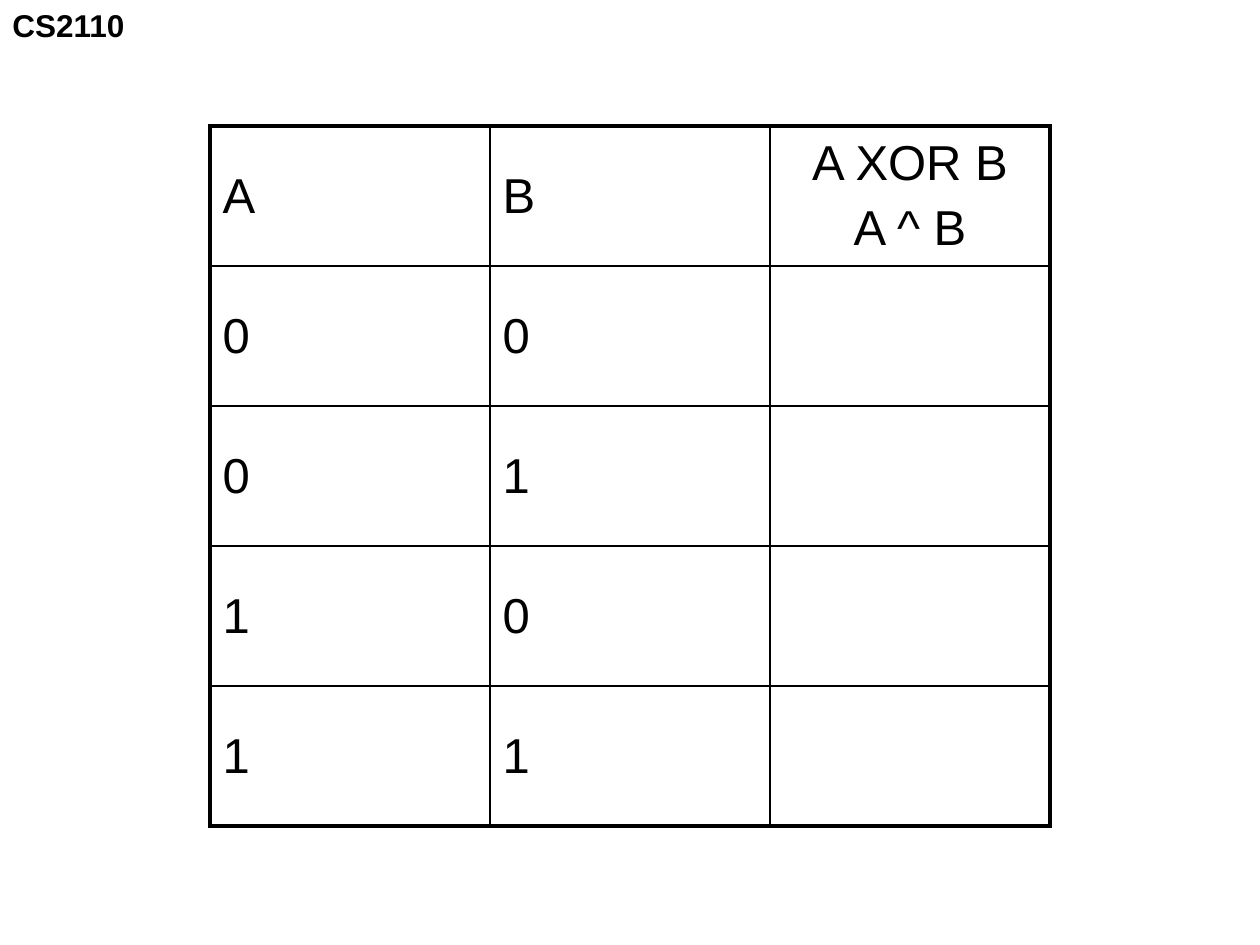
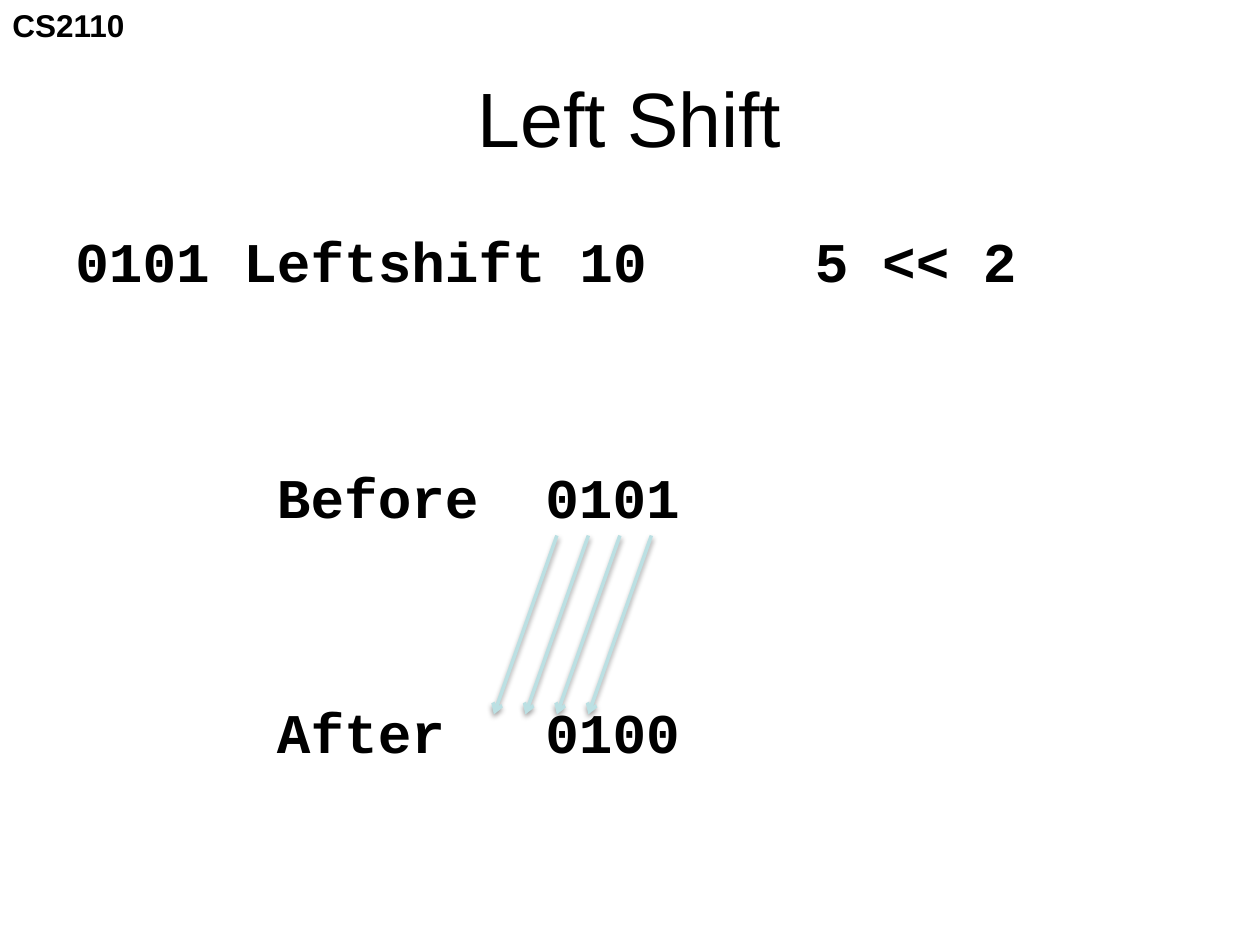
import pptx
import pptx.util
import pptx.dml.color
import pptx.enum.shapes
import pptx.enum.text
import pptx.oxml
import pptx.oxml.ns

Inches = pptx.util.Inches
Pt = pptx.util.Pt
ALIGN = pptx.enum.text.PP_ALIGN
ANCHOR = pptx.enum.text.MSO_ANCHOR
FIT = pptx.enum.text.MSO_AUTO_SIZE
NS = pptx.oxml.ns.nsdecls("a")

INK, PALE = "000000", "BBE0E3"
SANS, MONO = "Arial", "Courier New"
THIN, THICK = 1, 2.25


def color(code):
    return pptx.dml.color.RGBColor.from_string(code)


def node(xml):
    """Parse a drawing element, declaring its namespace on the first tag."""
    return pptx.oxml.parse_xml(xml.replace(" ", f" {NS} ", 1))


class Deck:
    def __init__(self):
        self.prs = pptx.Presentation()
        self.prs.slide_width = Inches(10)
        self.prs.slide_height = Inches(7.5)
        self.slide = None

    def page(self, title=None):
        """Start a slide with the course label and an optional title."""
        self.slide = self.prs.slides.add_slide(self.prs.slide_layouts[6])
        back = self.slide.background.fill
        back.solid()
        back.fore_color.rgb = color("FFFFFF")
        self.text(0, 0, 1.1, 0.4, ["CS2110"], 18, bold=True, wrap=False)
        if title:
            self.text(0.5, 0.3, 9, 1.25, [title], 44,
                      align=ALIGN.CENTER, anchor=ANCHOR.MIDDLE)

    def fill(self, frame, lines, size, face=SANS, bold=False,
             align=ALIGN.LEFT, gap=0, tabs=()):
        for i, line in enumerate(lines):
            para = frame.add_paragraph() if i else frame.paragraphs[0]
            para.alignment = align
            para.space_before = Pt(gap if i else 0)
            if tabs:
                stops = "".join(f'<a:tab pos="{Inches(t)}" algn="l"/>' for t in tabs)
                para._p.get_or_add_pPr().append(
                    node(f"<a:tabLst >{stops}</a:tabLst>"))
            run = para.add_run()
            run.text = line
            run.font.name = face
            run.font.size = Pt(size)
            run.font.bold = bold
            run.font.color.rgb = color(INK)

    def text(self, x, y, w, h, lines, size, anchor=ANCHOR.TOP, wrap=True, **style):
        box = self.slide.shapes.add_textbox(Inches(x), Inches(y), Inches(w), Inches(h))
        frame = box.text_frame
        frame.word_wrap = wrap
        frame.auto_size = FIT.NONE if wrap else FIT.SHAPE_TO_FIT_TEXT
        frame.vertical_anchor = anchor
        self.fill(frame, lines, size, **style)

    def edge(self, cell, widths):
        """Draw the left, right, top and bottom borders of a cell."""
        props = cell._tc.get_or_add_tcPr()
        for i, (side, width) in enumerate(zip("LRTB", widths)):
            props.insert(i, node(
                f'<a:ln{side} w="{Pt(width)}"><a:solidFill><a:srgbClr val="{INK}"/>'
                f"</a:solidFill></a:ln{side}>"))

    def table(self, x, y, wide, high, rows, size):
        count, cols = len(rows), len(rows[0])
        grid = self.slide.shapes.add_table(
            count, cols, Inches(x), Inches(y),
            Inches(wide * cols), Inches(high * count)).table
        grid.first_row = grid.horz_banding = False
        for col in grid.columns:
            col.width = Inches(wide)
        for r, row in enumerate(rows):
            grid.rows[r].height = Inches(high)
            for c, lines in enumerate(row):
                cell = grid.cell(r, c)
                cell.vertical_anchor = ANCHOR.MIDDLE
                cell.fill.background()
                outer = (c == 0, c == cols - 1, r == 0, r == count - 1)
                self.edge(cell, [THICK if side else THIN for side in outer])
                align = ALIGN.CENTER if len(lines) > 1 else ALIGN.LEFT
                self.fill(cell.text_frame, lines, size, align=align, gap=5.6)

    def arrow(self, x1, y1, x2, y2):
        line = self.slide.shapes.add_connector(
            pptx.enum.shapes.MSO_CONNECTOR.STRAIGHT,
            Inches(x1), Inches(y1), Inches(x2), Inches(y2))
        line.line.color.rgb = color(PALE)
        line.line.width = Pt(2)
        line.line._get_or_add_ln().append(node('<a:tailEnd type="arrow"/>'))
        # Soft shadow straight below the line
        line._element.spPr.append(node(
            f'<a:effectLst ><a:outerShdw blurRad="{Pt(3.1)}" dist="{Pt(1.6)}" '
            f'dir="5400000" rotWithShape="0"><a:srgbClr val="{INK}">'
            '<a:alpha val="38000"/></a:srgbClr></a:outerShdw></a:effectLst>'))


def main():
    deck = Deck()

    # Truth table with the result left open, two thirds of the slide wide
    deck.page()
    head = [["A"], ["B"], ["A XOR B", "A ^ B"]]
    bits = [[[a], [b], []] for a in "01" for b in "01"]
    deck.table(5 / 3, 1, 20 / 9, 10 / 9, [head] + bits, 28)

    # Left shift: the expression, then the bits before and after
    deck.page("Left Shift")
    lines = ["0101 Leftshift 10\t5 << 2", "\tBefore\t0101", "\tAfter\t0100"]
    deck.text(0.5, 1.75, 9, 5.58, lines, 32, face=MONO, bold=True,
              gap=96.2, tabs=(1.6, 3.73, 5.87))

    # Each bit moves two places to the left
    for i in range(4):
        x = 4.42 + 0.25 * i
        deck.arrow(x, 4.25, x - 0.5, 5.67)

    deck.prs.save("out.pptx")


if __name__ == "__main__":
    main()
